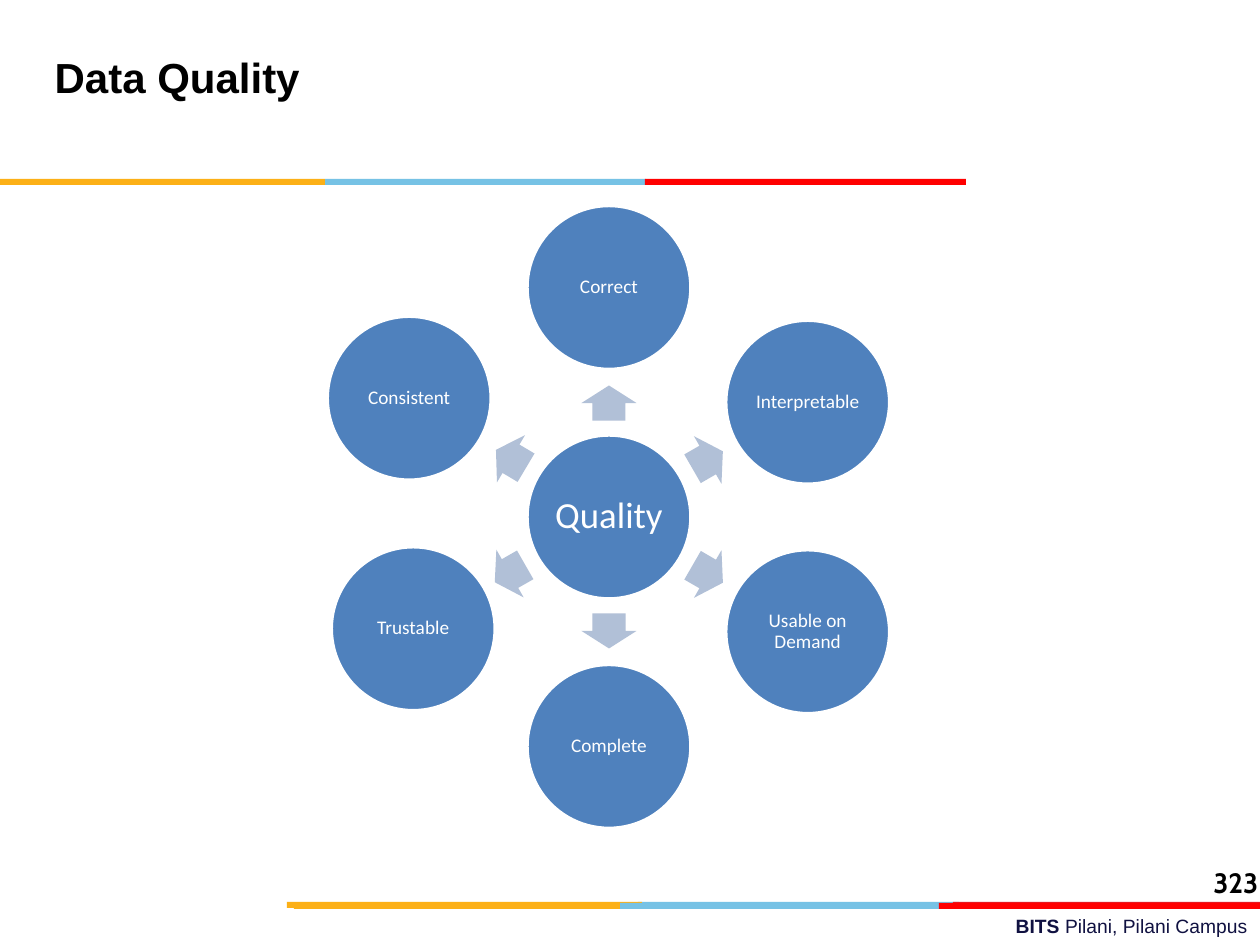
import math
from pptx import Presentation
from pptx.dml.color import RGBColor
from pptx.enum.shapes import MSO_SHAPE
from pptx.enum.text import MSO_ANCHOR, PP_ALIGN
from pptx.util import Pt

RECT, OVAL, ARROW = MSO_SHAPE.RECTANGLE, MSO_SHAPE.OVAL, MSO_SHAPE.RIGHT_ARROW
MIDDLE = MSO_ANCHOR.MIDDLE
LEFT, CENTER, RIGHT = PP_ALIGN.LEFT, PP_ALIGN.CENTER, PP_ALIGN.RIGHT

TITLE = "Data Quality"
PAGE = "323"
CAMPUS = [("BITS ", True), ("Pilani, Pilani Campus", False)]
HUB = "Quality"
QUALITIES = [
    ("Correct", -90, (0, 0)),
    ("Interpretable", -30, (0, 0)),
    ("Usable on Demand", 30, (0, 0)),
    ("Complete", 90, (0, 0)),
    ("Trustable", 150, (3, -3)),
    ("Consistent", 210, (-1, -4)),
]
AMBER, SKY, RED = "FCB017", "76C2E5", "FF0000"
BARS = [
    (638, 902, 321, SKY), (953, 902, 307, "E31C24"), (287, 902, 355, AMBER),
    (620, 903, 321, SKY), (294, 903, 326, AMBER), (939, 903, 321, RED),
    (325, 179, 321, SKY), (0, 179, 325, AMBER), (645, 179, 321, RED),
]
BAR_HEIGHT = 6
HUB_X, HUB_Y, DIAMETER = 609, 517, 164
ORBIT, ARROW_ORBIT = 229.5, 114
ARROW_LENGTH, ARROW_WIDTH = 35, 55


def px(n):
    return round(n * 914400 / 126)


def color(code):
    return RGBColor.from_string(code)


def style(font, size, name, code, bold=None):
    font.size, font.name, font.bold = Pt(size), name, bold
    font.color.rgb = color(code)


def add_filled(kind, left, top, width, height, fill):
    shape = slide.shapes.add_shape(kind, px(left), px(top), px(width), px(height))
    shape.shadow.inherit = False
    shape.fill.solid()
    shape.fill.fore_color.rgb = color(fill)
    shape.line.fill.background()
    return shape


def add_circle(label, x, y, size, inset):
    circle = add_filled(OVAL, x - DIAMETER / 2, y - DIAMETER / 2, DIAMETER, DIAMETER, "4F81BD")
    circle.line.color.rgb = color("FFFFFF")
    circle.line.width = Pt(2)
    frame = circle.text_frame
    frame.word_wrap = True
    frame.vertical_anchor = MIDDLE
    frame.margin_left = frame.margin_right = frame.margin_top = frame.margin_bottom = px(inset)
    paragraph = frame.paragraphs[0]
    paragraph.text = label
    paragraph.alignment = CENTER
    paragraph.line_spacing = 0.9
    style(paragraph.font, size, "Calibri", "FFFFFF")


def add_arrow(angle):
    x = HUB_X + ARROW_ORBIT * math.cos(angle)
    y = HUB_Y + ARROW_ORBIT * math.sin(angle)
    arrow = add_filled(ARROW, x - ARROW_LENGTH / 2, y - ARROW_WIDTH / 2,
                       ARROW_LENGTH, ARROW_WIDTH, "B1C0D7")
    arrow.adjustments[0], arrow.adjustments[1] = 0.6, 0.5
    arrow.rotation = math.degrees(angle) % 360


def add_line_of_text(left, top, width, height):
    box = slide.shapes.add_textbox(px(left), px(top), px(width), px(height))
    box.text_frame.word_wrap = True
    return box.text_frame.paragraphs[0]


prs = Presentation()
prs.slide_width, prs.slide_height = px(1260), px(945)
slide = prs.slides.add_slide(prs.slide_layouts[5])

campus = add_line_of_text(451, 908, 809, 37)
campus.alignment = RIGHT
for words, bold in CAMPUS:
    run = campus.add_run()
    run.text = words
    style(run.font, 11, "Arial", "101141", bold)

for left, top, width, fill in BARS:
    add_filled(RECT, left, top, width, BAR_HEIGHT, fill)

title = slide.shapes.title
title.left, title.top, title.width, title.height = px(42), px(21), px(872), px(158)
title.text_frame.vertical_anchor = MIDDLE
title.text_frame.margin_bottom = px(52)
heading = title.text_frame.paragraphs[0]
heading.text = TITLE
heading.alignment = LEFT
style(heading.font, 24, "Arial", "000000", True)

add_circle(HUB, HUB_X, HUB_Y, 21, 4)
for label, degrees, (shift_x, shift_y) in QUALITIES:
    dx = ORBIT * math.cos(math.radians(degrees)) + shift_x
    dy = ORBIT * math.sin(math.radians(degrees)) + shift_y
    add_arrow(math.atan2(dy, dx))
    add_circle(label, HUB_X + dx, HUB_Y + dy, 11, 2)

page = add_line_of_text(1201, 859, 84, 44)
page.text = PAGE
style(page.font, 16, "Cabin", "000000", True)

prs.save("out.pptx")
